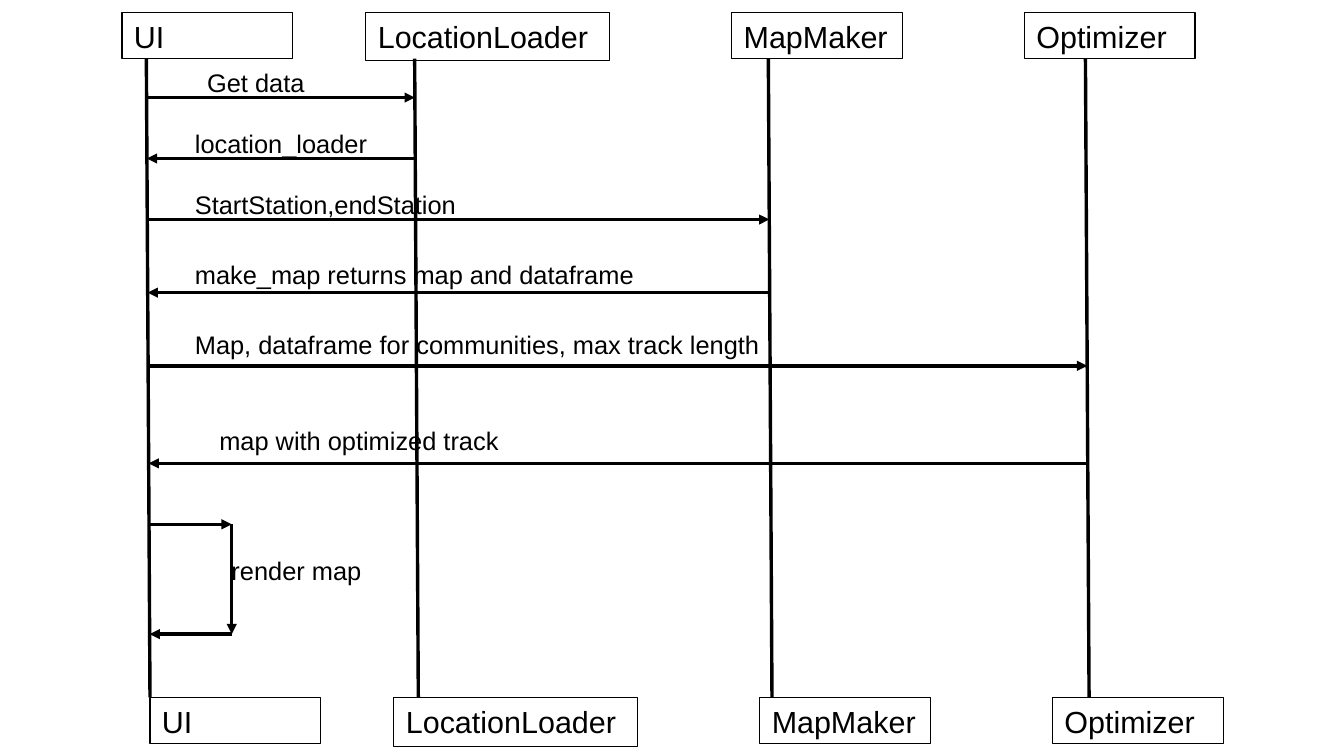
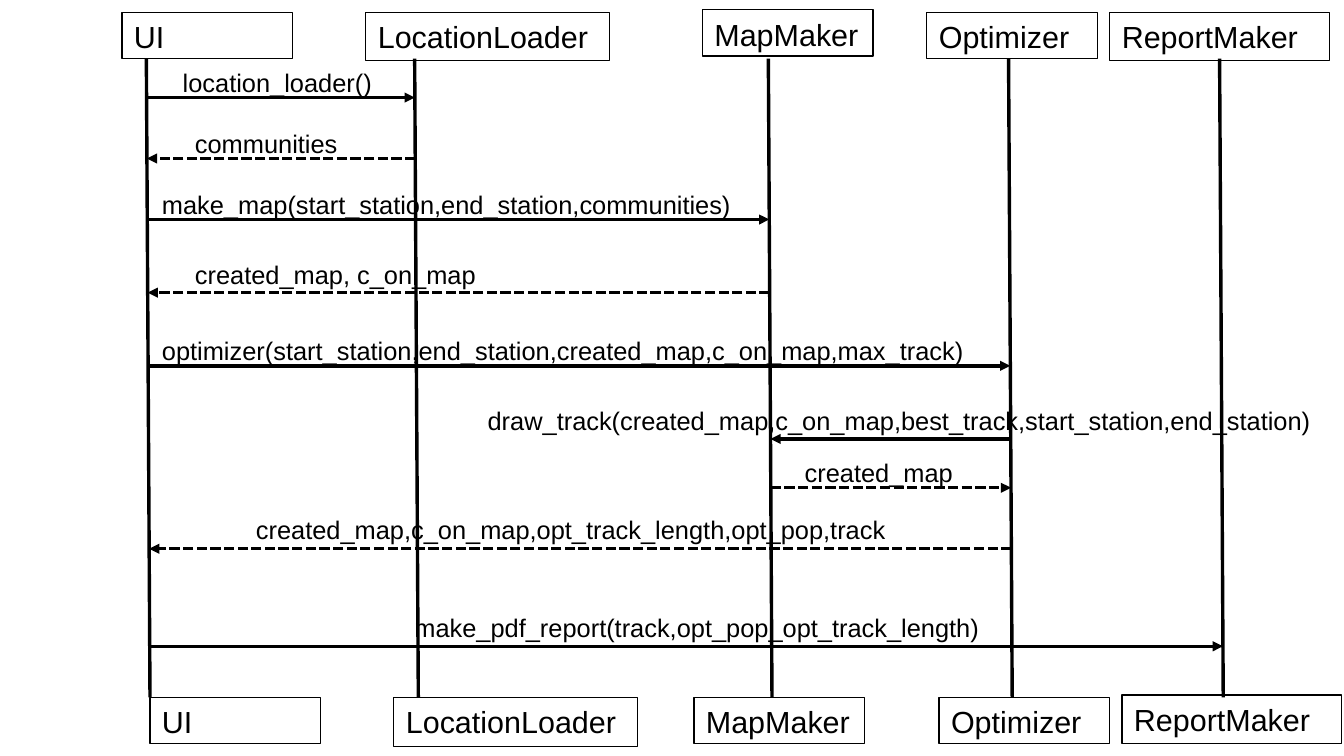
from lxml.etree import SubElement
from pptx import Presentation
from pptx.dml.color import RGBColor
from pptx.enum.dml import MSO_LINE
from pptx.enum.shapes import MSO_CONNECTOR, MSO_SHAPE
from pptx.enum.text import MSO_ANCHOR, PP_ALIGN
from pptx.oxml.ns import qn
from pptx.util import Inches, Pt

WIDTH, HEIGHT = 11.02, 6.2
COLORS = {"ink": "000000"}
FONT = "Arial"
NAME_SIZE, LABEL_SIZE = 18, 15
LIFE_TOP, LIFE_BOTTOM, LIFE_DRIFT = 0.48, 5.72, 0.03
LABEL_H = 0.33

# name: (lifeline x, box width, box height, (top box x, y), (bottom box x, y))
SHARED = {
    "UI": (1.2, 1.4, 0.38, (1, 0.1), (1.23, 5.72)),
    "LocationLoader": (3.4, 2, 0.4, (3, 0.1), (3.23, 5.72)),
}

# Messages: (from, to, y, dashed); an end is a participant or an x position.
# Labels: (text, left, top, width)
DIAGRAMS = [
    {
        "participants": SHARED | {
            "MapMaker": (6.3, 1.4, 0.38, (6, 0.1), (6.23, 5.72)),
            "Optimizer": (8.9, 1.4, 0.38, (8.4, 0.1), (8.63, 5.72)),
        },
        "messages": [
            ("UI", "LocationLoader", 0.8, False),
            ("LocationLoader", "UI", 1.3, False),
            ("UI", "MapMaker", 1.8, False),
            ("MapMaker", "UI", 2.4, False),
            ("UI", "Optimizer", 3, False),
            ("Optimizer", "UI", 3.8, False),
            ("UI", 1.9, 4.3, False),
            (1.9, "UI", 5.2, False),
        ],
        "drops": [(1.9, 4.3, 5.2)],
        "labels": [
            ("Get data", 1.6, 0.5, 1.4),
            ("location_loader", 1.5, 1, 1.9),
            ("StartStation,endStation", 1.5, 1.5, 2.5),
            ("make_map returns map and dataframe", 1.5, 2.08, 6.2),
            ("Map, dataframe for communities, max track length", 1.5, 2.65, 6.2),
            ("map with optimized track", 1.7, 3.44, 6.2),
            ("render map", 1.8, 4.5, 1.5),
        ],
    },
    {
        "participants": SHARED | {
            "MapMaker": (6.3, 1.4, 0.38, (5.76, 0.08), (5.69, 5.72)),
            "Optimizer": (8.27, 1.4, 0.38, (7.6, 0.1), (7.7, 5.72)),
            "ReportMaker": (10, 1.8, 0.4, (9.1, 0.1), (9.2, 5.7)),
        },
        "messages": [
            ("UI", "LocationLoader", 0.8, False),
            ("LocationLoader", "UI", 1.3, True),
            ("UI", "MapMaker", 1.8, False),
            ("MapMaker", "UI", 2.4, True),
            ("UI", "Optimizer", 3, False),
            ("Optimizer", "MapMaker", 3.6, False),
            ("MapMaker", "Optimizer", 4, True),
            ("Optimizer", "UI", 4.5, True),
            ("UI", "ReportMaker", 5.3, False),
        ],
        "drops": [],
        "labels": [
            ("location_loader()", 1.4, 0.5, 2),
            ("communities", 1.5, 1, 1.9),
            ("make_map(start_station,end_station,communities)", 1.23, 1.5, 5.07),
            ("created_map, c_on_map", 1.5, 2.08, 6.2),
            ("optimizer(start_station,end_station,created_map,c_on_map,max_track)",
             1.23, 2.7, 7.07),
            ("draw_track(created_map,c_on_map,best_track,start_station,end_station)",
             3.9, 3.27, 7.1),
            ("created_map", 6.5, 3.7, 4.5),
            ("created_map,c_on_map,opt_track_length,opt_pop,track", 2, 4.17, 6),
            ("make_pdf_report(track,opt_pop_opt_track_length)", 3.3, 4.97, 6.5),
        ],
    },
]


def ink():
    return RGBColor.from_string(COLORS["ink"])


def write(sp, text, size):
    tf = sp.text_frame
    tf.word_wrap = True
    tf.vertical_anchor = MSO_ANCHOR.TOP
    p = tf.paragraphs[0]
    p.text = text
    p.alignment = PP_ALIGN.LEFT
    p.font.name, p.font.size = FONT, Pt(size)
    p.font.color.rgb = ink()


def add_name_box(slide, name, x, y, w, h):
    sp = slide.shapes.add_shape(MSO_SHAPE.RECTANGLE, *map(Inches, (x, y, w, h)))
    sp.shadow.inherit = False
    sp.fill.background()
    sp.line.color.rgb = ink()
    sp.line.width = 0
    write(sp, name, NAME_SIZE)


def add_line(slide, x1, y1, x2, y2, arrow=True, dashed=False):
    line = slide.shapes.add_connector(
        MSO_CONNECTOR.STRAIGHT, *map(Inches, (x1, y1, x2, y2)))
    line.line.color.rgb = ink()
    line.line.width = 0
    if dashed:
        line.line.dash_style = MSO_LINE.SQUARE_DOT
    props = line._element.spPr
    if arrow:
        SubElement(props.find(qn("a:ln")), qn("a:tailEnd"), type="triangle")
    SubElement(props, qn("a:effectLst"))


def lifeline_x(participants, end, y):
    """Return the x of a message end; lifelines lean slightly to the right."""
    if end not in participants:
        return end
    share = (y - LIFE_TOP) / (LIFE_BOTTOM - LIFE_TOP)
    return participants[end][0] + LIFE_DRIFT * share


def draw(slide, participants, messages, drops, labels):
    for name, (x, w, h, *corners) in participants.items():
        for left, top in corners:
            add_name_box(slide, name, left, top, w, h)
        add_line(slide, x, LIFE_TOP, x + LIFE_DRIFT, LIFE_BOTTOM, arrow=False)
    for start, end, y, dashed in messages:
        x1, x2 = (lifeline_x(participants, e, y) for e in (start, end))
        add_line(slide, x1, y, x2, y, dashed=dashed)
    for x, top, bottom in drops:
        add_line(slide, x, top, x, bottom)
    for text, x, y, w in labels:
        box = slide.shapes.add_textbox(*map(Inches, (x, y, w, LABEL_H)))
        write(box, text, LABEL_SIZE)


def main():
    prs = Presentation()
    prs.slide_width, prs.slide_height = Inches(WIDTH), Inches(HEIGHT)
    for diagram in DIAGRAMS:
        draw(prs.slides.add_slide(prs.slide_layouts[6]), **diagram)
    prs.save("out.pptx")


if __name__ == "__main__":
    main()
